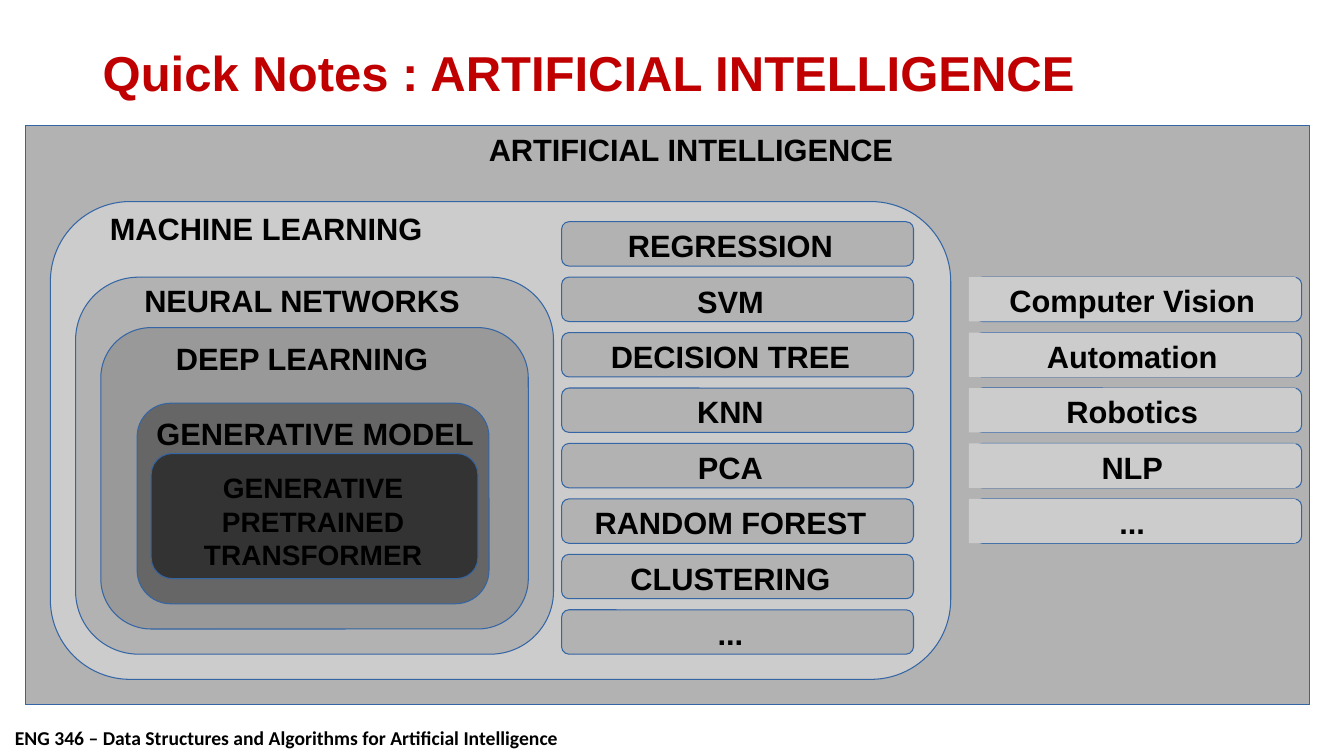
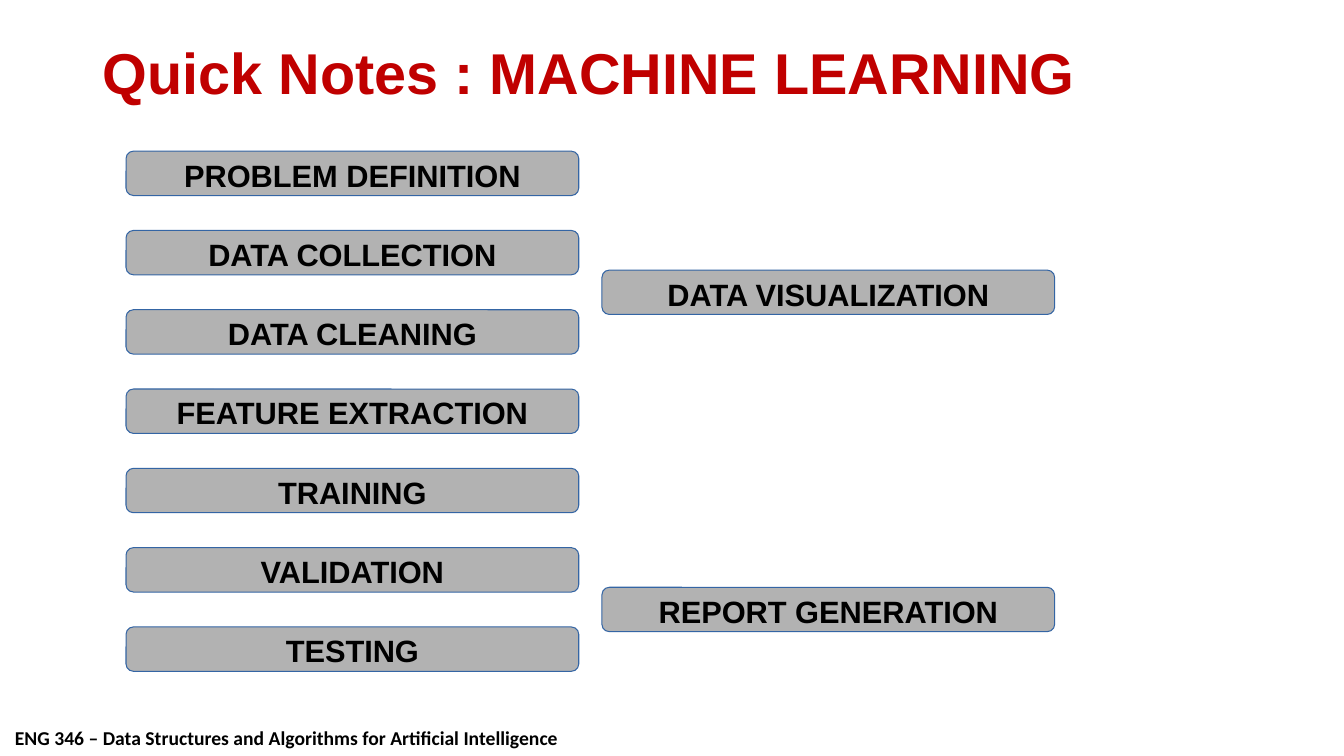
from dataclasses import dataclass

from pptx import Presentation
from pptx.dml.color import RGBColor
from pptx.enum.shapes import MSO_SHAPE
from pptx.enum.text import MSO_ANCHOR, MSO_AUTO_SIZE, PP_ALIGN
from pptx.util import Inches, Pt


@dataclass(frozen=True)
class Theme:
    heading_font: str = "Arial"
    footer_font: str = "Calibri"
    title: str = "C00000"
    text: str = "000000"
    outline: str = "3465A4"
    light: str = "CCCCCC"
    mid: str = "B2B2B2"
    gray: str = "999999"
    dark: str = "666666"
    darkest: str = "333333"
    label_size: float = 22
    small_size: float = 20
    footer_size: float = 14
    corner: float = 0.167
    bar_height: float = 0.44


THEME = Theme()
FOOTER = "ENG 346 – Data Structures and Algorithms for Artificial Intelligence"


def inches(box):
    return [Inches(v) for v in box]


def write(sp, text, size=THEME.label_size, color=THEME.text,
          font=THEME.heading_font, align=PP_ALIGN.CENTER):
    tf = sp.text_frame
    tf.word_wrap = True
    tf.vertical_anchor = MSO_ANCHOR.TOP
    tf.text = text
    p = tf.paragraphs[0]
    p.alignment = align
    r = p.runs[0]
    r.font.name = font
    r.font.size = Pt(size)
    r.font.bold = True
    r.font.color.rgb = RGBColor.from_string(color)
    return tf


def add_label(slide, box, text, **style):
    return write(slide.shapes.add_textbox(*inches(box)), text, **style)


def add_panel(slide, box, fill, rounded=True, outlined=True):
    kind = MSO_SHAPE.ROUNDED_RECTANGLE if rounded else MSO_SHAPE.RECTANGLE
    sp = slide.shapes.add_shape(kind, *inches(box))
    sp.shadow.inherit = False
    sp.fill.solid()
    sp.fill.fore_color.rgb = RGBColor.from_string(fill)
    if rounded:
        sp.adjustments[0] = THEME.corner
    if outlined:
        sp.line.color.rgb = RGBColor.from_string(THEME.outline)
        sp.line.width = Pt(0)
    else:
        sp.line.fill.background()
    return sp


def add_bar(slide, box, text, shift=0):
    tf = write(add_panel(slide, box, THEME.mid), text)
    tf.margin_top = Inches(0.03)
    tf.margin_bottom = Inches(0)
    tf.margin_right = Inches(0.1 + 2 * shift)


def add_plated_bar(slide, box, text):
    x, y, w, h = box
    add_panel(slide, box, THEME.light)
    plate = add_panel(slide, (x - 0.06, y, w, h), THEME.light,
                      rounded=False, outlined=False)
    write(plate, text).margin_bottom = Inches(0)


def add_footer(layout, slide):
    tb = slide.shapes.add_textbox(*inches((0.05, 7.15, 5.63, 0.33)))
    tf = write(tb, FOOTER, size=THEME.footer_size, font=THEME.footer_font,
               align=PP_ALIGN.LEFT)
    tf.word_wrap = False
    tf.auto_size = MSO_AUTO_SIZE.SHAPE_TO_FIT_TEXT
    layout.shapes.element.append(tb.element)


def add_titled_slide(prs, layout, subject, size):
    slide = prs.slides.add_slide(layout)
    tf = add_label(slide, (0.92, 0.4, 10.08, 0.7), f"Quick Notes : {subject}",
                   size=size, color=THEME.title, align=PP_ALIGN.LEFT)
    tf.vertical_anchor = MSO_ANCHOR.MIDDLE
    tf.paragraphs[0].line_spacing = 0.9
    return slide


def add_nested_fields(slide, box):
    x, y, w, h = box
    left = {"align": PP_ALIGN.LEFT}
    small = {"size": THEME.small_size}
    levels = [
        ("ARTIFICIAL INTELLIGENCE", THEME.mid,
         (0, 0, w, h), (4.5, 0, 4.24), left),
        ("MACHINE LEARNING", THEME.light,
         (0.25, 0.75, 8.93, 4.74), (0.74, 0.78, 3.49), left),
        ("NEURAL NETWORKS", THEME.mid,
         (0.5, 1.5, 4.74, 3.74), (1, 1.5, 3.49), {}),
        ("DEEP LEARNING", THEME.gray,
         (0.75, 2, 4.24, 2.99), (1, 2.07, 3.49), {}),
        ("GENERATIVE MODEL", THEME.dark,
         (1.11, 2.75, 3.49, 1.99), (1.13, 2.82, 3.49), {}),
        ("GENERATIVE PRETRAINED TRANSFORMER", THEME.darkest,
         (1.25, 3.25, 3.24, 1.24), (1.61, 3.37, 2.49), small),
    ]
    for i, (text, fill, panel, label, style) in enumerate(levels):
        px, py, pw, ph = panel
        lx, ly, lw = label
        add_panel(slide, (x + px, y + py, pw, ph), fill, rounded=i > 0)
        add_label(slide, (x + lx, y + ly, lw, 1), text, **style)


def add_topic_columns(slide, box):
    x, y, w, row = box
    methods = ["REGRESSION", "SVM", "DECISION TREE", "KNN", "PCA",
               "RANDOM FOREST", "CLUSTERING", "..."]
    fields = ["Computer Vision", "Automation", "Robotics", "NLP", "..."]
    field_width = 3.24
    for i, text in enumerate(methods):
        add_bar(slide, (x, y + i * row, 3.49, THEME.bar_height), text, 0.07)
    for i, text in enumerate(fields, 1):
        add_plated_bar(slide, (x + w - field_width, y + i * row,
                               field_width, THEME.bar_height), text)


def add_workflow(slide, box):
    x, y, w, h = box
    bar_width = 4.49
    steps = ["PROBLEM DEFINITION", "DATA COLLECTION", "DATA CLEANING",
             "FEATURE EXTRACTION", "TRAINING", "VALIDATION", "TESTING"]
    side_steps = [("DATA VISUALIZATION", 1.5), ("REPORT GENERATION", 5.5)]
    pitch = (h - THEME.bar_height) / (len(steps) - 1)
    bars = [(text, x, i) for i, text in enumerate(steps)]
    bars += [(text, x + w - bar_width, i) for text, i in side_steps]
    for text, bx, i in bars:
        add_bar(slide, (bx, y + i * pitch, bar_width, THEME.bar_height), text)


def main():
    prs = Presentation()
    prs.slide_width = Inches(13.33)
    prs.slide_height = Inches(7.5)
    layout = prs.slide_layouts[6]

    s = add_titled_slide(prs, layout, "ARTIFICIAL INTELLIGENCE", 35)
    add_footer(layout, s)
    add_nested_fields(s, (0.25, 1.25, 12.74, 5.74))
    add_topic_columns(s, (5.57, 2.2, 7.34, 0.55))

    s = add_titled_slide(prs, layout, "MACHINE LEARNING", 41.1)
    add_workflow(s, (1.25, 1.5, 9.21, 5.16))

    prs.save("out.pptx")


if __name__ == "__main__":
    main()
